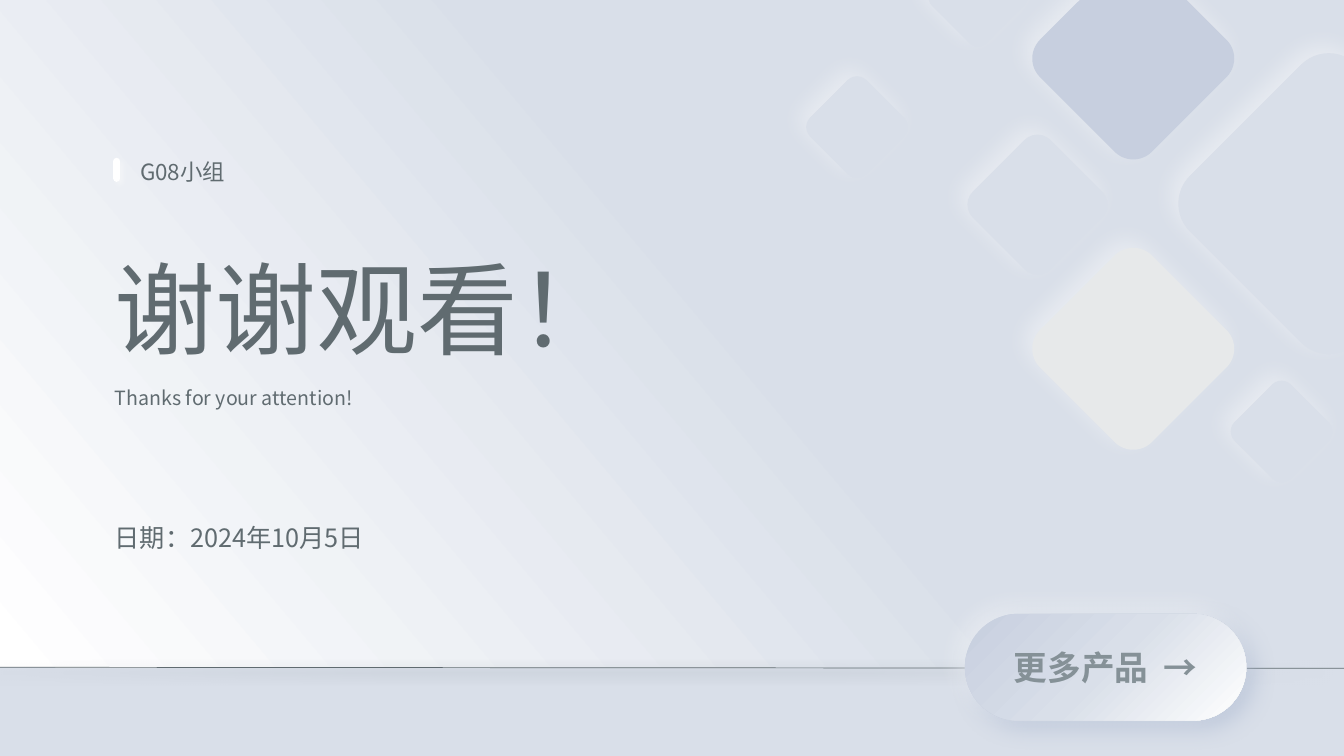
from dataclasses import dataclass

from pptx import Presentation
from pptx.dml.color import RGBColor
from pptx.enum import shapes, text
from pptx.oxml import ns, xmlchemy
from pptx.util import Inches, Pt


@dataclass(frozen=True)
class Theme:
    font: str = "Noto Sans CJK SC"
    ink: str = "606B70"
    muted: str = "859197"
    base: str = "D9DFE9"
    tint: str = "C7CFDF"
    warm: str = "E7E9EA"
    white: str = "FFFFFF"
    shade: str = "96A7C6"
    title: int = 72
    button: int = 24
    date: int = 18
    group: int = 16
    caption: int = 14


THEME = Theme()
WIDTH, HEIGHT = 13.33, 7.5
MARGIN = 1.04
HORIZON = 6.62
BUTTON = (9.57, 6.09, 2.79, 1.06)

# colour, opacity %, blur pt, distance pt, direction in degrees
GLOW = (THEME.white, 40, 16.8, 7.7, 225)
BUTTON_SHADE = (THEME.shade, 40, 16.8, 7.7, 45)
HORIZON_SHADE = (THEME.muted, 100, 9, 3, 90)
MARK_GLOW = (THEME.white, 40, 4, 3, 45)

# wording, box, size, further format
TEXTS = [
    ("谢谢观看！", (MARGIN, 2.36, 5.88, 1.38), THEME.title,
     dict(anchor=text.MSO_ANCHOR.MIDDLE)),
    ("日期：2024年10月5日", (MARGIN, 4.98, 5.04, 0.55), THEME.date,
     dict(spacing=1.5, grow=True)),
    ("Thanks for your attention!", (MARGIN, 3.78, 4.66, 0.34), THEME.caption,
     dict(align=text.PP_ALIGN.JUSTIFY, grow=True)),
    ("G08小组", (MARGIN + 0.25, 1.52, 4.79, 0.37), THEME.group,
     dict(grow=True)),
]

# centre x, centre y, side, fill
DIAMONDS = [
    (11.24, 0.58, 1.57, THEME.tint),
    (13.18, 2.02, 2.34, THEME.base),
    (10.29, 2.03, 1.09, THEME.base),
    (9.7, -0.03, 0.77, THEME.base),
    (11.24, 3.46, 1.57, THEME.warm),
    (12.71, 4.28, 0.79, THEME.base),
    (8.5, 1.26, 0.79, THEME.base),
]


def color(code):
    return RGBColor.from_string(code)


def add_node(parent, tag, **attributes):
    node = xmlchemy.OxmlElement(tag)
    for name, value in attributes.items():
        node.set(name, str(value))
    parent.append(node)
    return node


def add_shadow(item, shadow):
    """Append the effect list, which must follow the fill and line."""
    effects = add_node(item._element.spPr, "a:effectLst")
    if shadow:
        code, opacity, blur, distance, angle = shadow
        outer = add_node(effects, "a:outerShdw", blurRad=int(Pt(blur)),
                         dist=int(Pt(distance)), dir=angle * 60000,
                         algn="ctr", rotWithShape=0)
        tone = add_node(outer, "a:srgbClr", val=code)
        add_node(tone, "a:alpha", val=opacity * 1000)


def fill_gradient(shape, stops, angle):
    """Fill with (percent, colour) stops at a counter-clockwise angle."""
    shape.fill.gradient()
    shape.fill.gradient_angle = angle
    stop_list = shape._element.spPr.find(".//" + ns.qn("a:gsLst"))
    for old in list(stop_list):
        stop_list.remove(old)
    for percent, code in stops:
        stop = add_node(stop_list, "a:gs", pos=percent * 1000)
        add_node(stop, "a:srgbClr", val=code)


def add_panel(page, box, *, fill=None, stops=None, angle=0, radius=None,
              rotation=0, shadow=None):
    kind = shapes.MSO_SHAPE.RECTANGLE
    if radius is not None:
        kind = shapes.MSO_SHAPE.ROUNDED_RECTANGLE
    shape = page.shapes.add_shape(kind, *map(Inches, box))
    if radius is not None:
        shape.adjustments[0] = radius
    shape.rotation = rotation
    if stops:
        fill_gradient(shape, stops, angle)
    else:
        shape.fill.solid()
        shape.fill.fore_color.rgb = color(fill)
    shape.line.fill.background()
    add_shadow(shape, shadow)
    return shape


def add_line(page, start, end, *, code, width, shadow, cap="flat"):
    line = page.shapes.add_connector(
        shapes.MSO_CONNECTOR.STRAIGHT, *map(Inches, start + end))
    line.line.color.rgb = color(code)
    line.line.width = Pt(width)
    line._element.spPr.find(ns.qn("a:ln")).set("cap", cap)
    add_shadow(line, shadow)


def write(shape, wording, *, size, code=THEME.ink, bold=False, spacing=None,
          align=text.PP_ALIGN.LEFT, anchor=text.MSO_ANCHOR.TOP, grow=False):
    frame = shape.text_frame
    frame.word_wrap = True
    frame.vertical_anchor = anchor
    if grow:
        frame.auto_size = text.MSO_AUTO_SIZE.SHAPE_TO_FIT_TEXT
    para = frame.paragraphs[0]
    para.alignment = align
    para.line_spacing = spacing
    span = para.add_run()
    span.text = wording
    span.font.size = Pt(size)
    span.font.bold = bold
    span.font.name = THEME.font
    span.font.color.rgb = color(code)
    add_node(span.font._element, "a:ea", typeface=THEME.font)


def add_button(page):
    add_panel(page, BUTTON, fill=THEME.base, radius=0.5, shadow=BUTTON_SHADE)
    stops = [(0, THEME.tint), (50, THEME.base), (100, THEME.white)]
    face = add_panel(page, BUTTON, stops=stops, angle=315, radius=0.5,
                     shadow=GLOW)
    frame = face.text_frame
    frame.margin_left = frame.margin_right = Inches(0.07)
    frame.margin_top = frame.margin_bottom = Inches(0.04)
    write(face, "更多产品  →", size=THEME.button, code=THEME.muted, bold=True,
          align=text.PP_ALIGN.CENTER, anchor=text.MSO_ANCHOR.MIDDLE)


def main():
    deck = Presentation()
    deck.slide_width, deck.slide_height = Inches(WIDTH), Inches(HEIGHT)
    page = deck.slides.add_slide(deck.slide_layouts[6])
    page.background.fill.solid()
    page.background.fill.fore_color.rgb = color(THEME.base)

    add_panel(page, (0, 0, WIDTH, HORIZON), angle=40,
              stops=[(0, THEME.white), (55, THEME.base)])
    add_line(page, (-0.15, HORIZON), (WIDTH + 0.16, HORIZON + 0.01),
             code=THEME.ink, width=0.5, shadow=HORIZON_SHADE)
    add_button(page)
    for wording, box, size, options in TEXTS:
        write(page.shapes.add_textbox(*map(Inches, box)), wording, size=size,
              **options)
    for x, y, side, fill in DIAMONDS:
        add_panel(page, (x - side / 2, y - side / 2, side, side), fill=fill,
                  radius=0.167, rotation=315, shadow=GLOW)
    add_line(page, (1.16, 1.6), (1.16, 1.77), code=THEME.white, width=5,
             shadow=MARK_GLOW, cap="rnd")
    deck.save("out.pptx")


if __name__ == "__main__":
    main()
